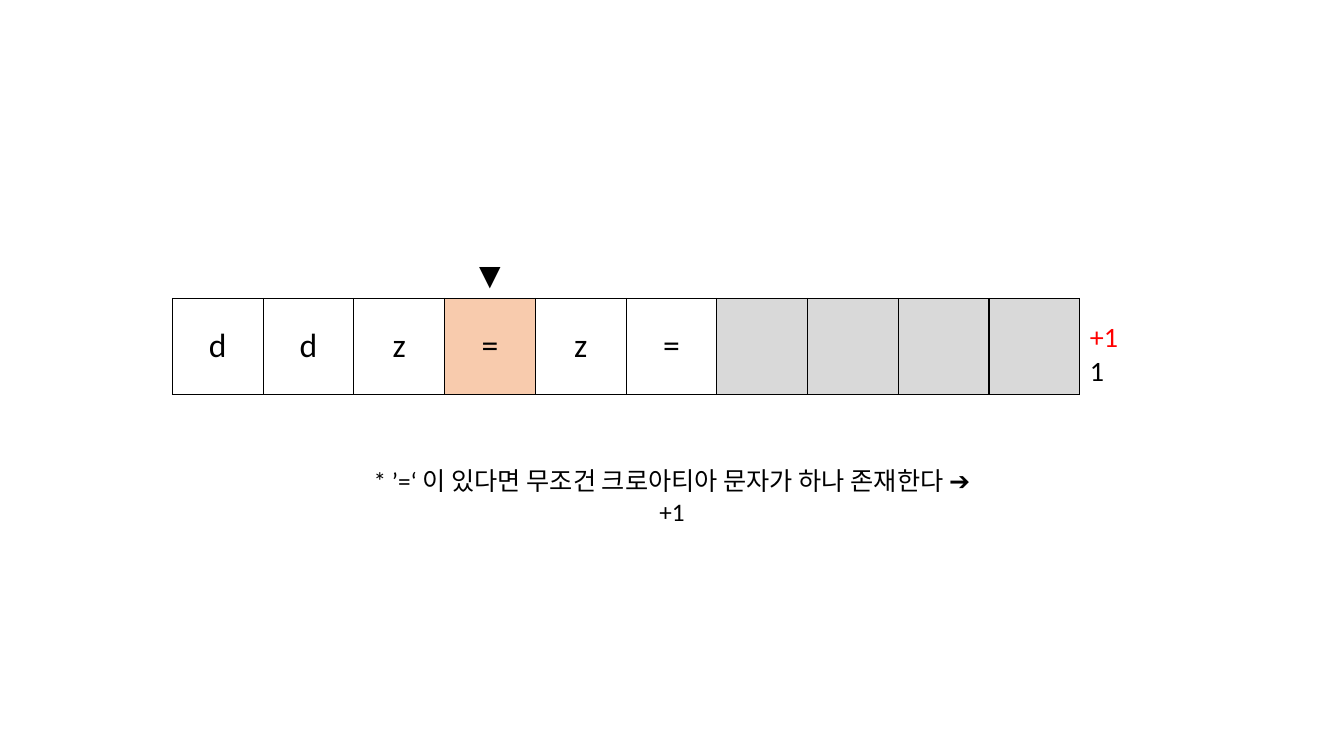
"""Build a slide that counts Croatian letters in a row of character cells."""
from lxml import etree
from pptx import Presentation, util as u
from pptx.dml.color import RGBColor
from pptx.enum import text
from pptx.oxml import ns

COLORS = {"ink": "000000", "plain": "FFFFFF", "current": "F8CBAD",
          "unused": "D9D9D9", "gain": "FF0000"}
FONT = "Calibri"
LETTERS = "ddz=z="
SLOTS = 10
CURRENT = 3


def color(name):
    return RGBColor.from_string(COLORS[name])


def write(frame, lines, size=20, inks=("ink",), align=text.PP_ALIGN.CENTER):
    """Write one paragraph per line, taking each ink in turn."""
    for index, (line, ink) in enumerate(zip(lines, inks)):
        paragraph = frame.paragraphs[0] if index == 0 else frame.add_paragraph()
        paragraph.alignment = align
        run = paragraph.add_run()
        run.text = line
        run.font.name = FONT
        run.font.size = u.Pt(size)
        run.font.color.rgb = color(ink)


class Board:
    """Hold the slide and its grid, and draw each kind of element on it."""

    column = 0.9
    left = 1.71
    top = 2.52

    def __init__(self, presentation):
        self.slide = presentation.slides.add_slide(presentation.slide_layouts[6])

    def table(self, columns, row_heights):
        """Add an unstyled table of equal columns."""
        frame = self.slide.shapes.add_table(
            len(row_heights), columns, u.Inches(self.left), u.Inches(self.top),
            u.Inches(columns * self.column), u.Inches(sum(row_heights)))
        table = frame.table
        table.first_row = table.horz_banding = False
        for column in table.columns:
            column.width = u.Inches(self.column)
        for row, height in zip(table.rows, row_heights):
            row.height = u.Inches(height)
        for cell in table.iter_cells():
            cell.fill.background()
        return table

    def cell(self, cell, fill=None, edges="", anchor=text.MSO_ANCHOR.MIDDLE):
        """Fill a cell and rule its named edges."""
        cell.vertical_anchor = anchor
        if fill:
            cell.fill.solid()
            cell.fill.fore_color.rgb = color(fill)
        properties = cell._tc.get_or_add_tcPr()
        for index, edge in enumerate(edges):
            line = etree.Element(ns.qn(f"a:ln{edge}"), w=str(u.Pt(1)))
            solid = etree.SubElement(line, ns.qn("a:solidFill"))
            etree.SubElement(solid, ns.qn("a:srgbClr"), val=COLORS["ink"])
            properties.insert(index, line)

    def caption(self, line, column, row, columns, height):
        """Add a centred, wrapped line of text."""
        box = self.slide.shapes.add_textbox(
            u.Inches(self.left + column * self.column),
            u.Inches(self.top + row), u.Inches(columns * self.column), u.Inches(height))
        box.text_frame.word_wrap = True
        write(box.text_frame, [line], size=18)


presentation = Presentation()
presentation.slide_width = u.Inches(13.33)
presentation.slide_height = u.Inches(7.5)
board = Board(presentation)

table = board.table(SLOTS + 1, [0.43, 0.95])
for slot in range(SLOTS):
    pointer, letter = table.cell(0, slot), table.cell(1, slot)
    board.cell(pointer, edges="B", anchor=text.MSO_ANCHOR.BOTTOM)
    fill = "current" if slot == CURRENT else "plain" if slot < len(LETTERS) else "unused"
    board.cell(letter, fill, edges="LRTB")
    if slot < len(LETTERS):
        write(letter.text_frame, [LETTERS[slot]], size=24)
write(table.cell(0, CURRENT).text_frame, ["▼"])

score = table.cell(1, SLOTS)
board.cell(score, edges="L", anchor=text.MSO_ANCHOR.BOTTOM)
write(score.text_frame, ["+1", "1"], inks=("gain", "ink"), align=text.PP_ALIGN.LEFT)

board.caption("* ’=‘ 이 있다면 무조건 크로아티아 문자가 하나 존재한다 ➔ +1",
              column=2.01, row=2.05, columns=6.99, height=0.4)

presentation.save("out.pptx")
